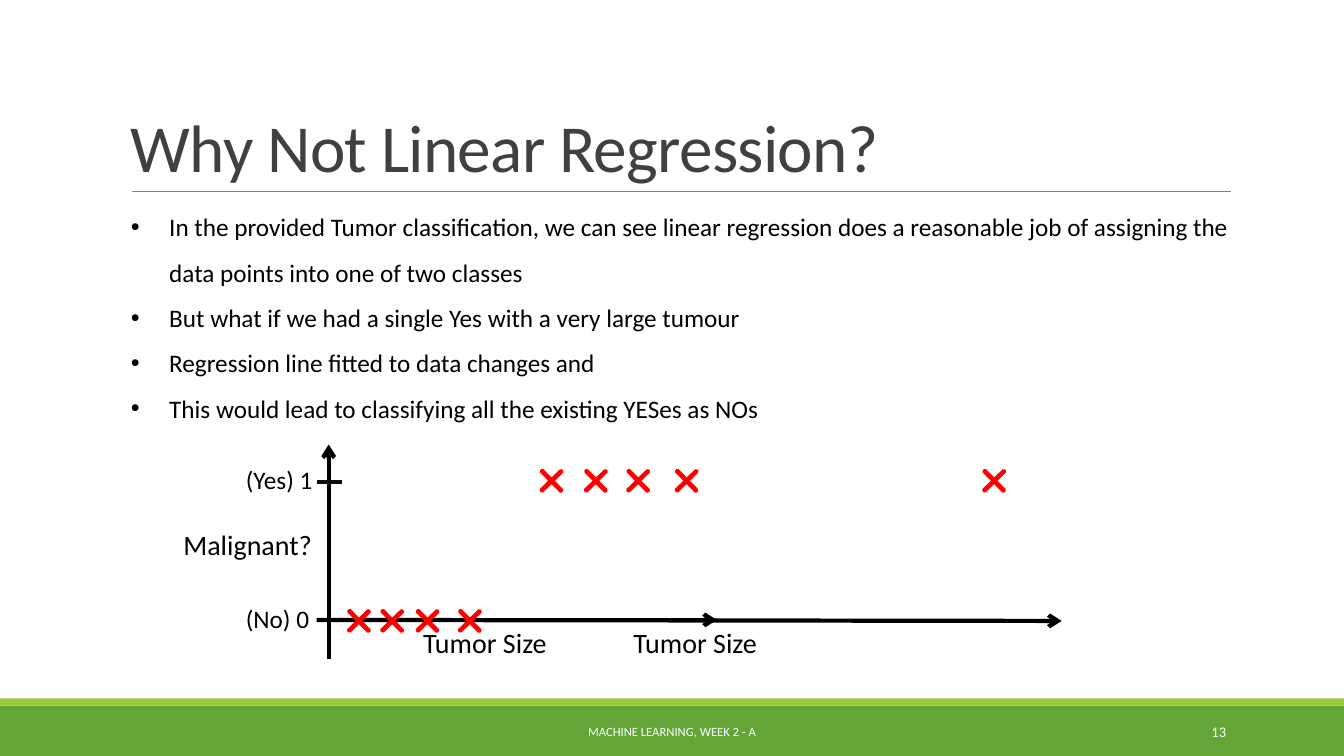
from lxml.etree import SubElement
from pptx import Presentation
from pptx.dml.color import RGBColor
from pptx.enum.shapes import MSO_CONNECTOR, MSO_SHAPE
from pptx.enum.text import MSO_ANCHOR, PP_ALIGN
from pptx.oxml.ns import qn
from pptx.util import Inches, Pt

FONT = "Calibri"
BLACK = "000000"
WHITE = "FFFFFF"
AXIS_LEFT, AXIS_X = 3.14, 3.26
YES_Y, NO_Y = 4.77, 6.16
MARK_SIZE = 0.28
NO_CENTERS = (3.56, 3.89, 4.24, 4.66)
YES_CENTERS = (5.47, 5.91, 6.33, 6.81, 9.86)

BULLETS = (
    "In the provided Tumor classification, we can see linear regression does "
    "a reasonable job of assigning the data points into one of two classes",
    "But what if we had a single Yes with a very large tumour",
    "Regression line fitted to data changes and",
    "This would lead to classifying all the existing YESes as NOs",
)


def color(hex_value):
    return RGBColor.from_string(hex_value)


def add_bar(slide, top, height, fill):
    shape = slide.shapes.add_shape(
        MSO_SHAPE.RECTANGLE, 0, Inches(top), Inches(13.33), Inches(height))
    shape.shadow.inherit = False
    shape.fill.solid()
    shape.fill.fore_color.rgb = color(fill)
    shape.line.fill.background()


def add_line(slide, start, end, line_color, width, arrow=False):
    connector = slide.shapes.add_connector(
        MSO_CONNECTOR.STRAIGHT, *(Inches(value) for value in (*start, *end)))
    connector.line.color.rgb = color(line_color)
    connector.line.width = Pt(width)
    if arrow:
        SubElement(connector.line._get_or_add_ln(), qn("a:tailEnd"), type="arrow")
    SubElement(connector._element.spPr, qn("a:effectLst"))


def add_bullet(paragraph):
    properties = paragraph._p.get_or_add_pPr()
    properties.set("marL", str(Inches(0.38)))
    properties.set("indent", str(Inches(-0.38)))
    SubElement(properties, qn("a:buFont"), typeface="Arial")
    SubElement(properties, qn("a:buChar"), char="•")


def add_text(slide, box, lines, size, text_color=BLACK, align=PP_ALIGN.LEFT,
             anchor=MSO_ANCHOR.TOP, line_spacing=1.0, bulleted=False, tracking=0):
    """Add a text box; tracking is in hundredths of a point."""
    frame = slide.shapes.add_textbox(*(Inches(value) for value in box)).text_frame
    frame.word_wrap = True
    frame.vertical_anchor = anchor
    paragraph_format = {"alignment": align, "line_spacing": line_spacing}
    font_format = {"name": FONT, "size": Pt(size)}
    for index, line in enumerate(lines):
        paragraph = frame.add_paragraph() if index else frame.paragraphs[0]
        for name, value in paragraph_format.items():
            setattr(paragraph, name, value)
        if bulleted:
            add_bullet(paragraph)
        run = paragraph.add_run()
        run.text = line
        for name, value in font_format.items():
            setattr(run.font, name, value)
        run.font.color.rgb = color(text_color)
        if tracking:
            run._r.get_or_add_rPr().set("spc", str(tracking))


def add_mark(slide, center_x, center_y):
    """Add a red cross: a thin plus turned by an eighth of a circle."""
    half = MARK_SIZE / 2
    shape = slide.shapes.add_shape(
        MSO_SHAPE.CROSS, Inches(center_x - half), Inches(center_y - half),
        Inches(MARK_SIZE), Inches(MARK_SIZE))
    shape.shadow.inherit = False
    shape.adjustments[0] = 0.466
    shape.rotation = 45.6
    shape.fill.solid()
    shape.fill.fore_color.rgb = color(BLACK)
    shape.line.color.rgb = color("FF0000")
    shape.line.width = Pt(2)


def add_frame(slide):
    add_bar(slide, 7, 0.5, "63A537")
    add_bar(slide, 6.93, 0.07, "99CB38")
    add_line(slide, (1.31, 1.9), (12.21, 1.9), "808080", 0.5)
    add_text(slide, (1.2, 0.31, 11, 1.59), ["Why Not Linear Regression?"], 48,
             "404040", anchor=MSO_ANCHOR.BOTTOM, line_spacing=0.85, tracking=-50)
    add_text(slide, (4.03, 7.06, 5.27, 0.4), ["MACHINE LEARNING, WEEK 2 - A"], 9,
             WHITE, PP_ALIGN.CENTER, MSO_ANCHOR.MIDDLE)
    add_text(slide, (10.83, 7.06, 1.43, 0.4), ["13"], 10.5,
             WHITE, PP_ALIGN.RIGHT, MSO_ANCHOR.MIDDLE)


def add_plot(slide):
    add_line(slide, (AXIS_LEFT, 6.15), (10.53, 6.16), BLACK, 3, arrow=True)
    add_line(slide, (AXIS_X, 6.54), (AXIS_X, 4.41), BLACK, 3, arrow=True)
    add_line(slide, (AXIS_LEFT, 6.15), (7.11, 6.15), BLACK, 3, arrow=True)
    for width in (7.27, 3.1):
        add_text(slide, (AXIS_X, 6.16, width, 0.44), ["Tumor Size"], 20,
                 align=PP_ALIGN.CENTER)
    for centers, center_y in ((NO_CENTERS, NO_Y), (YES_CENTERS, YES_Y)):
        for center_x in centers:
            add_mark(slide, center_x, center_y)
    add_line(slide, (AXIS_LEFT, 4.78), (3.39, 4.78), "0D0D0D", 2.5)
    add_text(slide, (1.72, 5.18, 1.55, 0.44), ["Malignant?"], 20)
    for label, top in (("(Yes) 1", 4.56), ("(No) 0", 5.94)):
        add_text(slide, (2.34, top, 1.03, 0.4), [label], 18)


def main():
    presentation = Presentation()
    presentation.slide_width = Inches(13.33)
    presentation.slide_height = Inches(7.5)
    slide = presentation.slides.add_slide(presentation.slide_layouts[6])
    add_frame(slide)
    add_text(slide, (1.2, 1.9, 11.42, 2.78), BULLETS, 18,
             line_spacing=1.5, bulleted=True)
    add_plot(slide)
    presentation.save("out.pptx")


if __name__ == "__main__":
    main()
